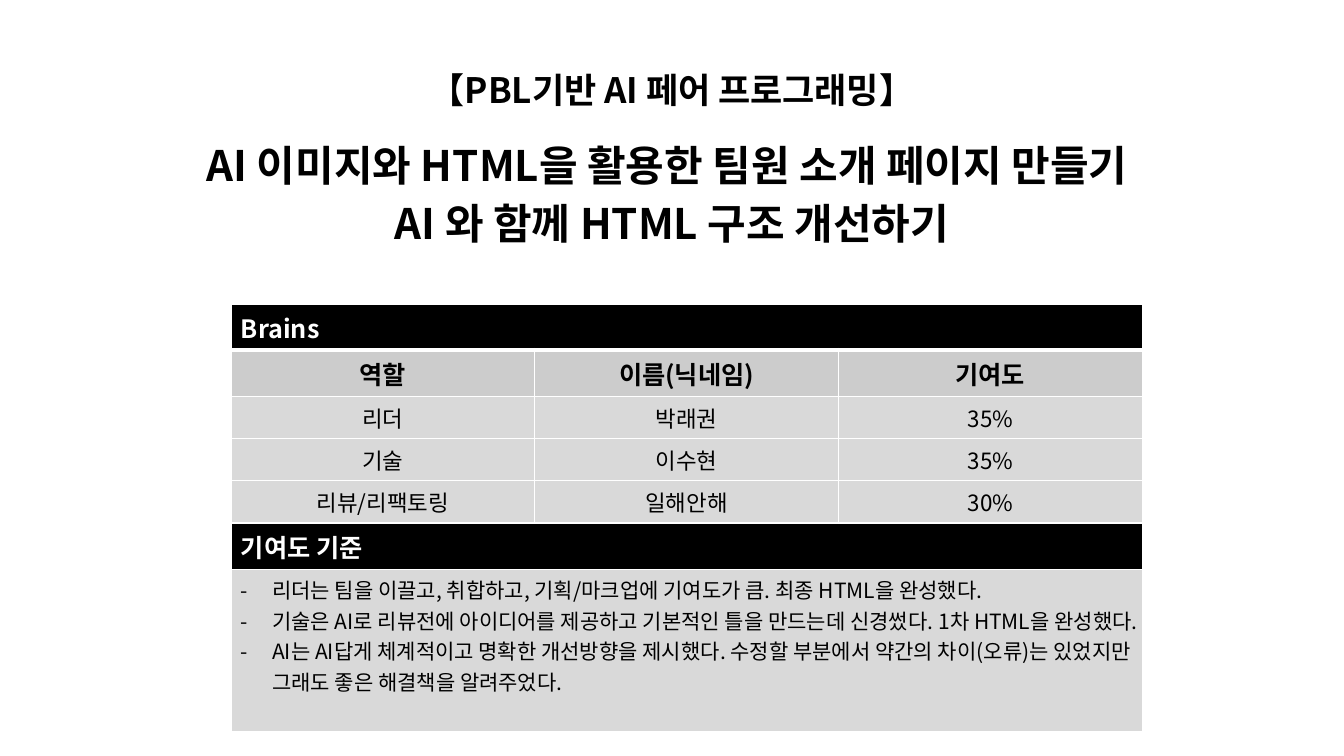
from lxml import etree
from pptx import Presentation
from pptx.dml.color import RGBColor
from pptx.enum.text import MSO_ANCHOR, PP_ALIGN
from pptx.oxml.ns import qn
from pptx.util import Inches, Pt

CENTER, LEFT = PP_ALIGN.CENTER, PP_ALIGN.LEFT
MIDDLE, TOP = MSO_ANCHOR.MIDDLE, MSO_ANCHOR.TOP
BLACK = RGBColor(0x00, 0x00, 0x00)
WHITE = RGBColor(0xFF, 0xFF, 0xFF)
HEADER_GRAY = RGBColor(0xCC, 0xCC, 0xCC)
BODY_GRAY = RGBColor(0xD9, 0xD9, 0xD9)

HEADINGS = [
    ("【PBL기반 AI 페어 프로그래밍】", 25, 2),
    ("AI 이미지와 HTML을 활용한 팀원 소개 페이지 만들기 ", 30, 21),
    ("AI 와 함께 HTML 구조 개선하기", 30, 5),
]
COLUMN_TITLES = ("역할", "이름(닉네임)", "기여도")
MEMBERS = [
    ("리더", "박래권", "35%"),
    ("기술", "이수현", "35%"),
    ("리뷰/리팩토링", "일해안해", "30%"),
]
CRITERIA = [
    "리더는 팀을 이끌고, 취합하고, 기획/마크업에 기여도가 큼. 최종 HTML을 완성했다.",
    "기술은 AI로 리뷰전에 아이디어를 제공하고 기본적인 틀을 만드는데 신경썼다. 1차 HTML을 완성했다.",
    "AI는 AI답게 체계적이고 명확한 개선방향을 제시했다. 수정할 부분에서 약간의 차이(오류)는 "
    "있었지만 그래도 좋은 해결책을 알려주었다.",
]
ROW_HEIGHTS = (0.45, 0.46, 0.42, 0.42, 0.42, 0.46, 1.61)


class SlideBuilder:
    """Draws styled headings and table cells on one slide."""

    font = "Noto Sans CJK KR"

    def __init__(self, slide):
        self.slide = slide

    def add_run(self, paragraph, text, size, color, bold, kerned=True):
        run = paragraph.add_run()
        run.text = text
        run.font.name = self.font
        run.font.size = Pt(size)
        run.font.bold = bold
        run.font.color.rgb = color
        properties = run._r.get_or_add_rPr()
        if not kerned:
            properties.set("kern", "0")
        etree.SubElement(properties, qn("a:ea")).set("typeface", self.font)

    def add_headings(self, left, top, width, height, headings):
        shape = self.slide.shapes.add_textbox(
            Inches(left), Inches(top), Inches(width), Inches(height))
        frame = shape.text_frame
        frame.word_wrap = True
        for index, (text, size, space_before) in enumerate(headings):
            paragraph = frame.add_paragraph() if index else frame.paragraphs[0]
            paragraph.alignment = CENTER
            paragraph.space_before = Pt(space_before)
            self.add_run(paragraph, text, size, BLACK, True, kerned=False)

    def add_table(self, left, top, width, row_heights, columns):
        shape = self.slide.shapes.add_table(
            len(row_heights), columns, Inches(left), Inches(top),
            Inches(width), Inches(sum(row_heights)))
        table = shape.table
        for row, height in zip(table.rows, row_heights):
            row.height = Inches(height)
        return table

    def fill_cell(self, cell, texts, size, fill, color=BLACK, bold=False,
                  align=CENTER, anchor=MIDDLE, bullet=None, bottom=1):
        cell.vertical_anchor = anchor
        frame = cell.text_frame
        for index, text in enumerate(texts):
            paragraph = frame.add_paragraph() if index else frame.paragraphs[0]
            paragraph.alignment = align
            if bullet:
                self.add_bullet(paragraph, bullet)
            self.add_run(paragraph, text, size, color, bold, kerned=not bullet)
        self.add_borders(cell, bottom)
        cell.fill.solid()
        cell.fill.fore_color.rgb = fill

    def add_bullet(self, paragraph, character):
        properties = paragraph._p.get_or_add_pPr()
        properties.set("marL", str(Inches(0.31)))
        properties.set("indent", str(Inches(-0.31)))
        etree.SubElement(properties, qn("a:buFont")).set("typeface", self.font)
        etree.SubElement(properties, qn("a:buChar")).set("char", character)

    def add_borders(self, cell, bottom):
        properties = cell._tc.get_or_add_tcPr()
        for side, width in (("L", 1), ("R", 1), ("T", 1), ("B", bottom)):
            line = etree.SubElement(properties, qn(f"a:ln{side}"))
            line.set("w", str(Pt(width)))
            fill = etree.SubElement(line, qn("a:solidFill"))
            etree.SubElement(fill, qn("a:srgbClr")).set("val", str(WHITE))

    def add_wide_row(self, table, row, texts, size, fill, **style):
        last = len(table.columns) - 1
        table.cell(row, 0).merge(table.cell(row, last))
        for column in range(last + 1):
            self.fill_cell(table.cell(row, column), [] if column else texts,
                           size, fill, align=LEFT, **style)

    def add_row(self, table, row, texts, size, fill, **style):
        for column, text in enumerate(texts):
            self.fill_cell(table.cell(row, column), [text], size, fill, **style)


def main():
    presentation = Presentation()
    presentation.slide_width = Inches(13.33)
    presentation.slide_height = Inches(7.5)
    slide = presentation.slides.add_slide(presentation.slide_layouts[6])
    builder = SlideBuilder(slide)

    builder.add_headings(0, 0.63, 13.33, 2.03, HEADINGS)
    table = builder.add_table(2.29, 3.02, 9.04, ROW_HEIGHTS, len(COLUMN_TITLES))
    builder.add_wide_row(table, 0, ["Brains"], 18, BLACK,
                         color=WHITE, bold=True, bottom=3)
    builder.add_row(table, 1, COLUMN_TITLES, 18, HEADER_GRAY, bold=True)
    for row, member in enumerate(MEMBERS, start=2):
        builder.add_row(table, row, member, 16, BODY_GRAY)
    builder.add_wide_row(table, 5, ["기여도 기준"], 18, BLACK,
                         color=WHITE, bold=True)
    builder.add_wide_row(table, 6, CRITERIA, 15, BODY_GRAY,
                         anchor=TOP, bullet="-")
    presentation.save("out.pptx")


if __name__ == "__main__":
    main()
